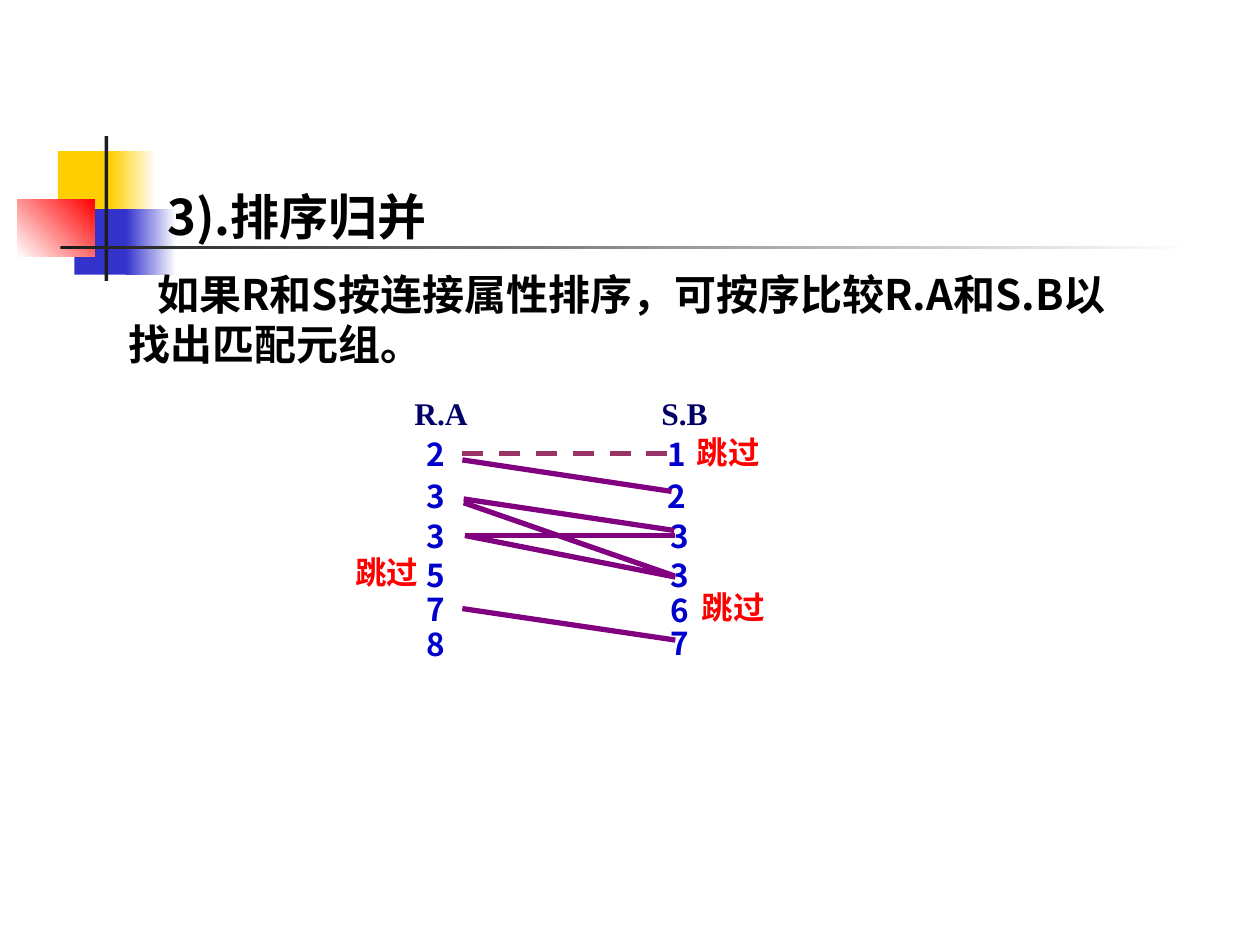
import pptx
import pptx.util
import pptx.dml.color
import pptx.enum.dml
import pptx.enum.shapes
import pptx.enum.text
from pptx.oxml.ns import qn
from lxml import etree

Inches = pptx.util.Inches
SANS, SERIF = "Noto Sans CJK SC", "Times New Roman"
PURPLE, PLUM = "800080", "993366"

# Corner ornament: left, top, width, height, colours, gradient angle
ORNAMENT = [
    (0.46, 1.2, 0.48, 0.52, ["FFCF01"], 0),
    (0.88, 1.2, 0.36, 0.52, ["FFCF01", "FFFFFF"], 0),
    (0.59, 1.66, 0.46, 0.52, ["3333CC"], 0),
    (1.0, 1.66, 0.4, 0.52, ["3333CC", "FFFFFF"], 0),
    (0.14, 1.58, 0.61, 0.46, ["FFFFFF", "FF0000"], 45),
    (0.83, 1.08, 0.03, 1.15, ["1C1C1C"], 0),
    (0.48, 1.95, 9.0, 0.03, ["1C1C1C", "FFFFFF"], 0),
]
TITLE = "3).排序归并"
BODY = "如果R和S按连接属性排序，可按序比较R.A和S.B以找出匹配元组。"

# Sorted columns: heading, heading left, then (value, left, top)
COLUMNS = [
    ("R.A", 3.19, [("2", 3.24, 3.4), ("3", 3.24, 3.74), ("3", 3.24, 4.05),
                   ("5", 3.24, 4.36), ("7", 3.24, 4.63), ("8", 3.24, 4.91)]),
    ("S.B", 5.15, [("1", 5.15, 3.4), ("2", 5.15, 3.74), ("3", 5.17, 4.05),
                   ("3", 5.17, 4.36), ("6", 5.17, 4.64), ("7", 5.17, 4.9)]),
]
HEADING_TOP, CELL_WIDTH, CELL_HEIGHT = 3.08, 0.75, 0.32
SKIP_LABELS = [(5.38, 3.39), (2.67, 4.34), (5.42, 4.62)]
SKIP_WIDTH, VALUE_INDENT = 1.17, 0.05

# Comparisons: start x, start y, end x, end y, colour, dashed
LINKS = [
    (3.67, 3.6, 5.33, 3.6, PLUM, True),
    (3.67, 3.65, 5.33, 3.9, PURPLE, False),
    (3.68, 3.96, 5.35, 4.21, PURPLE, False),
    (3.68, 3.99, 5.35, 4.57, PURPLE, False),
    (3.69, 4.25, 5.36, 4.25, PURPLE, False),
    (3.69, 4.25, 5.36, 4.58, PURPLE, False),
    (3.67, 4.83, 5.36, 5.08, PURPLE, False),
]


def color(value):
    return pptx.dml.color.RGBColor.from_string(value)


def add_block(slide, left, top, width, height, colors, angle):
    shape = slide.shapes.add_shape(
        pptx.enum.shapes.MSO_SHAPE.RECTANGLE, *map(Inches, (left, top, width, height)))
    shape.shadow.inherit = False
    shape.line.fill.background()
    if len(colors) == 1:
        shape.fill.solid()
        shape.fill.fore_color.rgb = color(colors[0])
        return
    shape.fill.gradient()
    shape.fill.gradient_angle = angle
    for stop, value in zip(shape.fill.gradient_stops, colors):
        stop.color.rgb = color(value)


def add_text(slide, text, box, size, fill, name=SANS, margin=0, indent=0, anchor="TOP"):
    frame = slide.shapes.add_textbox(*map(Inches, box)).text_frame
    frame.word_wrap = True
    frame.vertical_anchor = getattr(pptx.enum.text.MSO_ANCHOR, anchor)
    paragraph = frame.paragraphs[0]
    properties = paragraph._p.get_or_add_pPr()
    properties.set("marL", str(Inches(margin)))
    properties.set("indent", str(Inches(indent)))
    run = paragraph.add_run()
    run.text = text
    for key, value in {"size": pptx.util.Pt(size), "bold": True, "name": name}.items():
        setattr(run.font, key, value)
    run.font.color.rgb = color(fill)
    etree.SubElement(run._r.get_or_add_rPr(), qn("a:ea")).set("typeface", name)


def add_link(slide, x1, y1, x2, y2, stroke, dashed):
    connector = slide.shapes.add_connector(
        pptx.enum.shapes.MSO_CONNECTOR.STRAIGHT, *map(Inches, (x1, y1, x2, y2)))
    connector.line.width = pptx.util.Pt(3)
    connector.line.color.rgb = color(stroke)
    if dashed:
        connector.line.dash_style = pptx.enum.dml.MSO_LINE.DASH
    etree.SubElement(connector._element.spPr, qn("a:effectLst"))


def main():
    presentation = pptx.Presentation()
    presentation.slide_width, presentation.slide_height = Inches(10), Inches(7.5)
    slide = presentation.slides.add_slide(presentation.slide_layouts[6])

    # Ornament, title and explanation
    for block in ORNAMENT:
        add_block(slide, *block)
    add_text(slide, TITLE, (1.23, 0.75, 8.52, 1.25), 28, "000000", anchor="BOTTOM")
    add_text(slide, BODY, (0.92, 2.08, 8.1, 0.9), 24, "000000", indent=0.23)

    # Sorted columns with their headings
    for heading, left, cells in COLUMNS:
        add_text(slide, heading, (left, HEADING_TOP, CELL_WIDTH, CELL_HEIGHT),
                 18, "000066", SERIF)
        for value, x, y in cells:
            add_text(slide, value, (x, y, CELL_WIDTH, CELL_HEIGHT),
                     18, "0000CC", margin=VALUE_INDENT)

    # Comparison lines and skip marks
    for link in LINKS:
        add_link(slide, *link)
    for x, y in SKIP_LABELS:
        add_text(slide, "跳过", (x, y, SKIP_WIDTH, CELL_HEIGHT),
                 18, "FF0000", margin=VALUE_INDENT)

    presentation.save("out.pptx")


if __name__ == "__main__":
    main()
